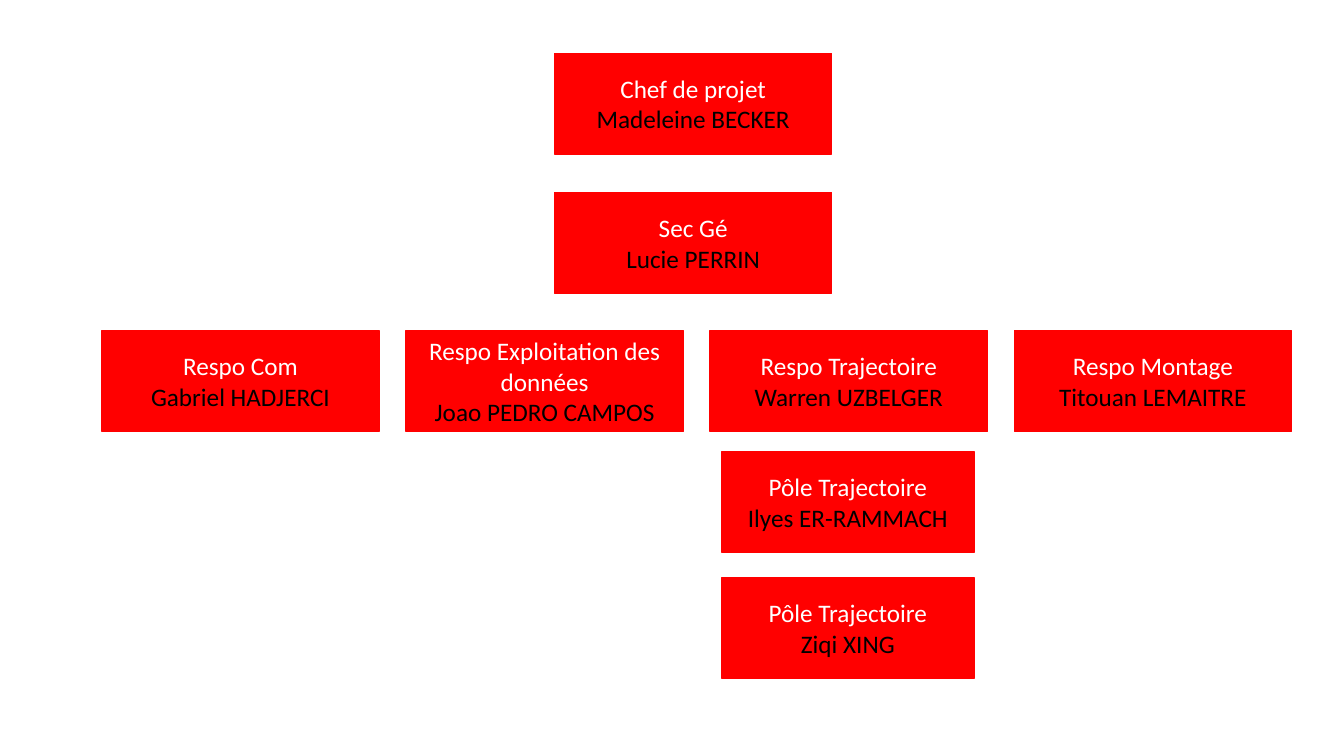
from pptx import Presentation
from pptx.dml.color import RGBColor
from pptx.enum.shapes import MSO_SHAPE
from pptx.enum.text import MSO_ANCHOR, PP_ALIGN
from pptx.util import Inches, Pt

RECT = MSO_SHAPE.RECTANGLE
MIDDLE = MSO_ANCHOR.MIDDLE
CENTER = PP_ALIGN.CENTER

COLORS = {"card": "FF0000", "role": "FFFFFF", "name": "000000"}
HEIGHT = 1

HEADS = [
    ("Chef de projet", "Madeleine BECKER"),
    ("Sec Gé", "Lucie PERRIN"),
]
LEADS = [
    ("Respo Com", "Gabriel HADJERCI"),
    ("Respo Exploitation des données", "Joao PEDRO CAMPOS"),
    ("Respo Trajectoire", "Warren UZBELGER"),
    ("Respo Montage", "Titouan LEMAITRE"),
]
TEAM = [
    ("Pôle Trajectoire", "Ilyes ER-RAMMACH"),
    ("Pôle Trajectoire", "Ziqi XING"),
]


def color(key):
    return RGBColor.from_string(COLORS[key])


def add_card(slide, left, top, width, role, name):
    card = slide.shapes.add_shape(
        RECT, Inches(left), Inches(top), Inches(width), Inches(HEIGHT)
    )
    card.shadow.inherit = False
    card.fill.solid()
    card.fill.fore_color.rgb = color("card")
    card.line.color.rgb = color("card")
    card.line.width = Pt(1)
    frame = card.text_frame
    frame.word_wrap = True
    frame.vertical_anchor = MIDDLE
    frame.text = f"{role}\n{name}"
    for para, key in zip(frame.paragraphs, ("role", "name")):
        para.alignment = CENTER
        para.font.name = "Calibri"
        para.font.size = Pt(18)
        para.font.color.rgb = color(key)


def add_stack(slide, left, top, width, height, people):
    step = (height - HEIGHT) / (len(people) - 1)
    for row, (role, name) in enumerate(people):
        add_card(slide, left, top + row * step, width, role, name)


def add_row(slide, left, top, width, card_width, people):
    step = (width - card_width) / (len(people) - 1)
    for col, (role, name) in enumerate(people):
        add_card(slide, left + col * step, top, card_width, role, name)


def main():
    deck = Presentation()
    deck.slide_width = Inches(13.33)
    deck.slide_height = Inches(7.5)
    slide = deck.slides.add_slide(deck.slide_layouts[6])
    add_stack(slide, 5.5, 0.53, 2.75, 2.38, HEADS)
    add_row(slide, 1.01, 3.28, 11.8, 2.75, LEADS)
    add_stack(slide, 7.16, 4.48, 2.5, 2.25, TEAM)
    deck.save("out.pptx")


if __name__ == "__main__":
    main()
